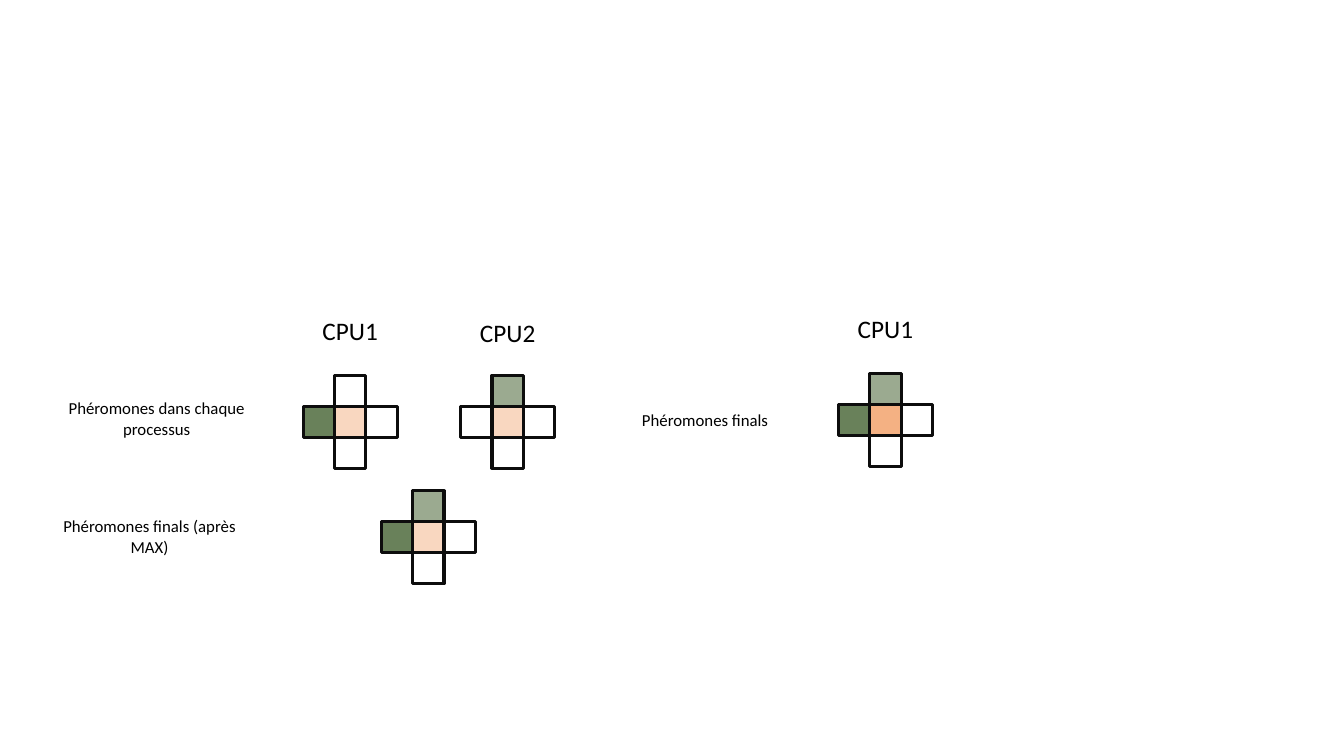
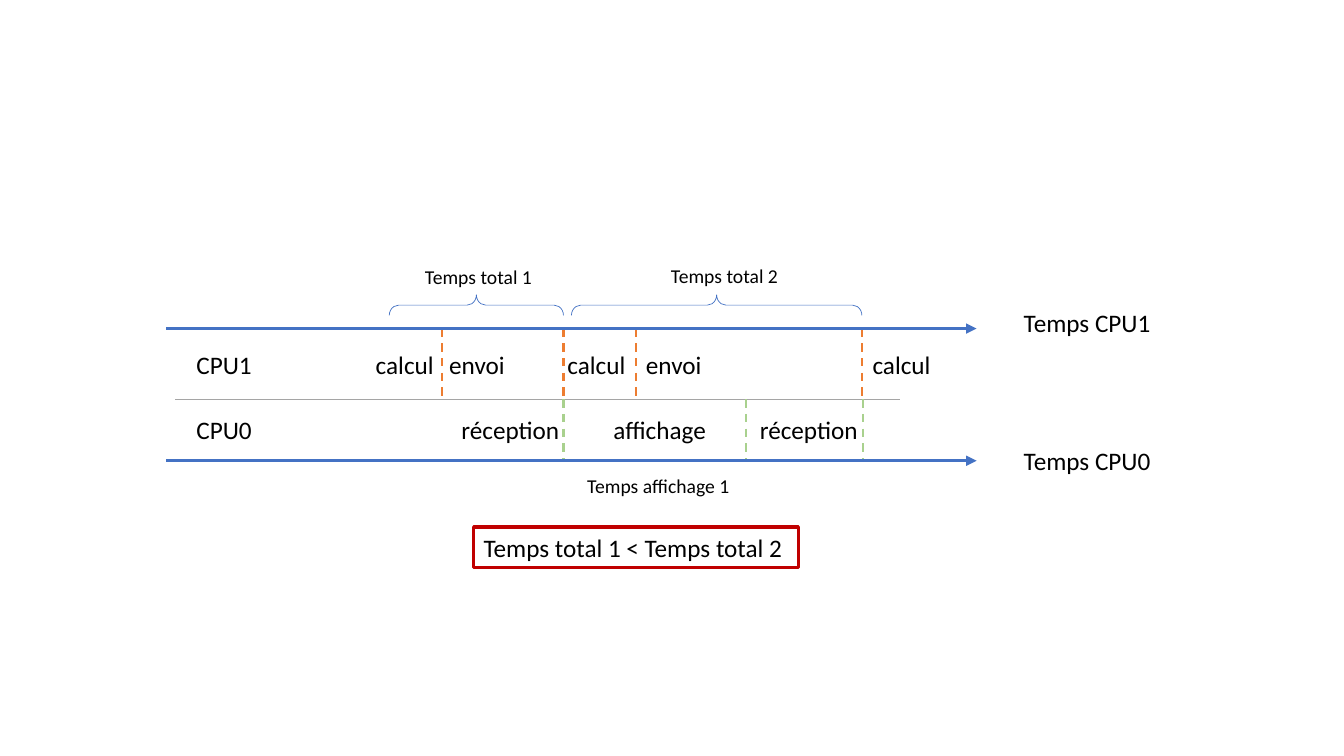
"""Build two slides on pheromone exchange and processor timing."""
from dataclasses import dataclass

from lxml import etree
from pptx import Presentation
from pptx.dml.color import RGBColor
from pptx.enum import dml, shapes, text
from pptx.oxml import ns
from pptx.util import Cm, Pt

COLOURS = {
    "text": "000000",
    "cell_line": "0D0D0D",
    "nest": "F4B183",
    "trail": "385723",
    "axis": "4472C4",
    "divider": "A5A5A5",
    "compute": "ED7D31",
    "display": "A9D18E",
    "result": "C00000",
}
FONT = "Calibri"
CELL_WIDTH, CELL_HEIGHT = 0.79, 0.78
CPU1_AXIS, DIVIDER, CPU0_AXIS = 8.28, 10.06, 11.61
CPU1_TEXT, CPU0_TEXT = 8.69, 10.31
BRACE_MIDDLE = 7.69


@dataclass(frozen=True)
class Cross:
    left: float
    top: float
    nest_opacity: int = 50
    left_opacity: int = 0
    top_opacity: int = 0
    title: str = ""
    title_top: float = 0


@dataclass(frozen=True)
class Label:
    words: str
    left: float
    top: float
    width: float
    size: int = 18
    height: float = 1.02
    centred: bool = False


@dataclass(frozen=True)
class Line:
    start: tuple[float, float]
    end: tuple[float, float]
    colour: str
    width: float
    dashed: bool = False
    arrow: bool = False


@dataclass(frozen=True)
class Brace:
    left: float
    right: float
    depth: float = 0.52


CROSSES = (
    Cross(8.43, 10.24, left_opacity=75, title="CPU1", title_top=7.82),
    Cross(12.4, 10.24, top_opacity=50, title="CPU2", title_top=7.87),
    Cross(10.4, 13.15, left_opacity=75, top_opacity=50),
    Cross(21.92, 10.19, 100, 75, 50, "CPU1", 7.77),
)
CROSS_LABELS = (
    Label("Phéromones finals (après MAX)", 0.86, 12.88, 5.82, 12, 1.28, True),
    Label("Phéromones dans chaque processus", 1.04, 9.91, 5.82, 12, 1.28, True),
    Label("Phéromones finals", 14.86, 10.19, 5.82, 12, 0.77, True),
)
TIMELINE_LABELS = (
    Label("CPU1", 4.7, CPU1_TEXT, 2),
    Label("calcul", 9.22, CPU1_TEXT, 2),
    Label("envoi", 11.07, CPU1_TEXT, 2),
    Label("calcul", 14.05, CPU1_TEXT, 2),
    Label("envoi", 16.03, CPU1_TEXT, 2),
    Label("calcul", 21.74, CPU1_TEXT, 2),
    Label("CPU0", 4.7, CPU0_TEXT, 2),
    Label("réception", 11.38, CPU0_TEXT, 3.05),
    Label("affichage", 15.21, CPU0_TEXT, 3.05),
    Label("réception", 18.9, CPU0_TEXT, 3.05),
    Label("Temps CPU1", 25.55, 7.62, 4.75),
    Label("Temps CPU0", 25.55, 11.1, 4.75),
    Label("Temps affichage 1", 14.55, 11.81, 4.75, 14, 0.86),
    Label("Temps total 2", 16.66, 6.53, 4.75, 14, 0.86),
    Label("Temps total 1", 10.46, 6.55, 4.75, 14, 0.86),
)
RESULT = Label("Temps total 1 < Temps total 2", 11.94, 13.28, 8.18)
TIMELINE_LINES = (
    Line((4.42, DIVIDER), (22.68, DIVIDER), "divider", 0.5),
    *(Line((x, CPU1_AXIS), (x, DIVIDER), "compute", 1.5, dashed=True)
      for x in (11.15, 14.2, 16.03, 21.72)),
    *(Line((x, DIVIDER), (x, CPU0_AXIS), "display", 1.5, dashed=True)
      for x in (14.2, 18.8, 21.74)),
    *(Line((4.19, y), (24.61, y), "axis", 2.5, arrow=True)
      for y in (CPU1_AXIS, CPU0_AXIS)),
)
BRACES = (Brace(9.81, 14.2), Brace(14.4, 21.72))


def colour(name: str) -> RGBColor:
    return RGBColor.from_string(COLOURS[name])


def style_line(line, name: str, width: float) -> None:
    line.color.rgb = colour(name)
    line.width = Pt(width)


def add_text(slide, words: str, *, left: float, top: float, width: float,
             height: float, size: int, centred: bool = False):
    shape = slide.shapes.add_textbox(Cm(left), Cm(top), Cm(width), Cm(height))
    frame = shape.text_frame
    frame.word_wrap = True
    frame.auto_size = text.MSO_AUTO_SIZE.SHAPE_TO_FIT_TEXT
    paragraph = frame.paragraphs[0]
    paragraph.alignment = text.PP_ALIGN.CENTER if centred else text.PP_ALIGN.LEFT
    run = paragraph.add_run()
    run.text = words
    run.font.name = FONT
    run.font.size = Pt(size)
    run.font.color.rgb = colour("text")
    return shape


def add_label(slide, label: Label):
    return add_text(slide, label.words, left=label.left, top=label.top,
                    width=label.width, height=label.height, size=label.size,
                    centred=label.centred)


def add_cell(slide, left: float, top: float, fill: str, opacity: int,
             outline: str) -> None:
    shape = slide.shapes.add_shape(shapes.MSO_SHAPE.RECTANGLE, Cm(left), Cm(top),
                                   Cm(CELL_WIDTH), Cm(CELL_HEIGHT))
    shape.shadow.inherit = False
    style_line(shape.line, outline, 2.25)
    if not opacity:
        shape.fill.background()
        return
    shape.fill.solid()
    shape.fill.fore_color.rgb = colour(fill)
    if opacity < 100:
        colour_element = shape.fill._xPr.find(".//" + ns.qn("a:srgbClr"))
        etree.SubElement(colour_element, ns.qn("a:alpha"), val=str(opacity * 1000))


def add_cross(slide, cross: Cross) -> None:
    cells = (
        (0, 0, "nest", cross.nest_opacity, "text"),
        (0, 1, "trail", 0, "cell_line"),
        (1, 0, "trail", 0, "cell_line"),
        (-1, 0, "trail", cross.left_opacity, "cell_line"),
        (0, -1, "trail", cross.top_opacity, "cell_line"),
    )
    for column, row, fill, opacity, outline in cells:
        add_cell(slide, cross.left + column * CELL_WIDTH,
                 cross.top + row * CELL_HEIGHT, fill, opacity, outline)
    if cross.title:
        add_text(slide, cross.title, left=cross.left - CELL_WIDTH,
                 top=cross.title_top, width=3 * CELL_WIDTH, height=1.02,
                 size=18, centred=True)


def add_line(slide, line: Line) -> None:
    connector = slide.shapes.add_connector(
        shapes.MSO_CONNECTOR.STRAIGHT, *map(Cm, line.start + line.end))
    style_line(connector.line, line.colour, line.width)
    if line.dashed:
        connector.line.dash_style = dml.MSO_LINE.DASH
    if line.arrow:
        etree.SubElement(connector.line._get_or_add_ln(), ns.qn("a:tailEnd"),
                         type="triangle")
    etree.SubElement(connector._element.spPr, ns.qn("a:effectLst"))


def add_brace(slide, brace: Brace) -> None:
    span = brace.right - brace.left
    centre = (brace.left + brace.right) / 2
    shape = slide.shapes.add_shape(
        shapes.MSO_SHAPE.LEFT_BRACE, Cm(centre - brace.depth / 2),
        Cm(BRACE_MIDDLE - span / 2), Cm(brace.depth), Cm(span))
    shape.rotation = 90
    shape.adjustments[0] = 0.45
    shape.shadow.inherit = False
    shape.fill.background()
    style_line(shape.line, "axis", 0.5)


def build_pheromones(slide) -> None:
    for cross in CROSSES:
        add_cross(slide, cross)
    for label in CROSS_LABELS:
        add_label(slide, label)


def build_timeline(slide) -> None:
    for label in TIMELINE_LABELS:
        add_label(slide, label)
    for line in TIMELINE_LINES:
        add_line(slide, line)
    for brace in BRACES:
        add_brace(slide, brace)
    style_line(add_label(slide, RESULT).line, "result", 2.5)


def main() -> None:
    presentation = Presentation()
    presentation.slide_width = Cm(33.87)
    presentation.slide_height = Cm(19.05)
    blank = presentation.slide_layouts[6]
    for build in (build_pheromones, build_timeline):
        build(presentation.slides.add_slide(blank))
    presentation.save("out.pptx")


if __name__ == "__main__":
    main()
